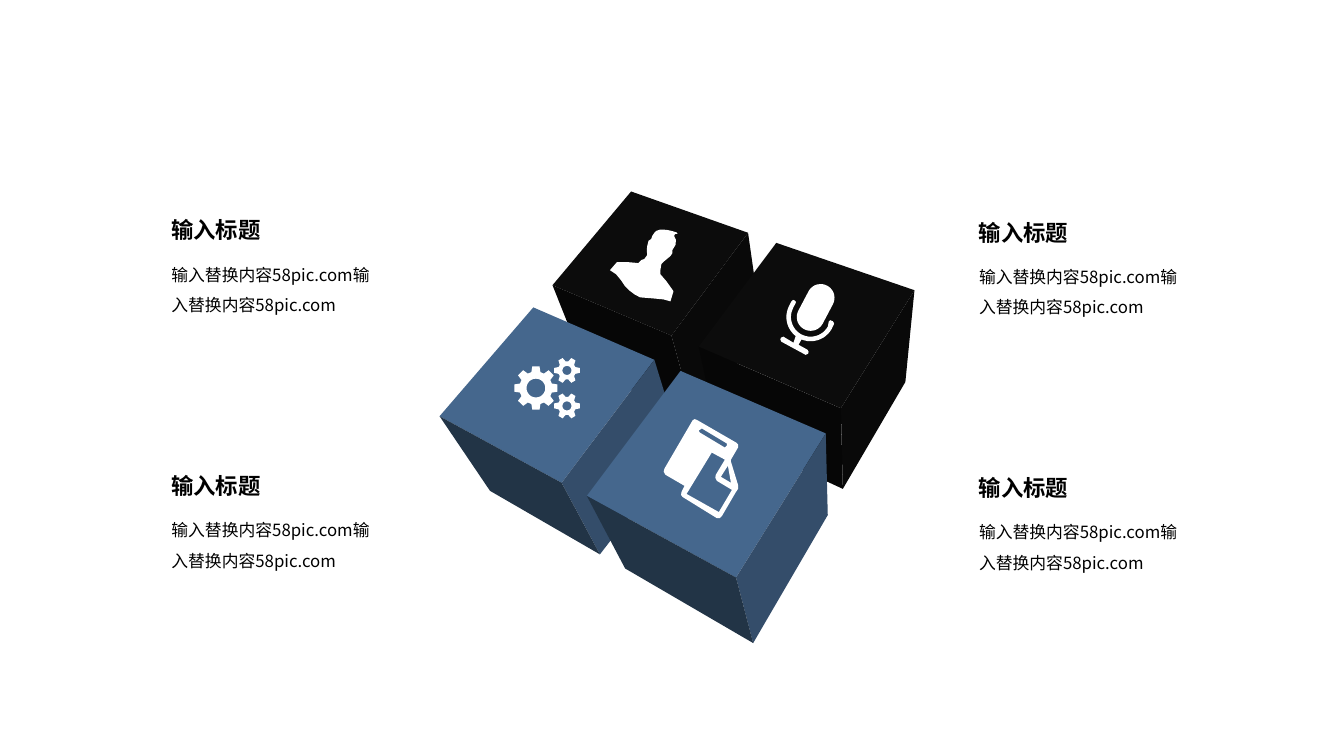
from dataclasses import dataclass
from math import cos, radians, sin

from lxml.etree import SubElement
from pptx import Presentation
from pptx.dml.color import RGBColor
from pptx.enum.text import MSO_ANCHOR as Anchor, MSO_AUTO_SIZE as AutoSize, PP_ALIGN as Align
from pptx.oxml.ns import qn
from pptx.util import Inches, Pt

COLUMNS, ROWS = 1333, 750
FINENESS = 10


@dataclass(frozen=True)
class Theme:
    font: str = "Noto Sans CJK SC"
    ink: str = "000000"
    icon: str = "FFFFFF"
    black: tuple = ("0C0C0C", "090909", "060606")
    blue: tuple = ("45678D", "344D6A", "223446")
    heading_size: int = 16
    body_size: int = 12
    body_spacing: float = 1.5


class CubeSlide:
    """Draws cubes, icons and captions on a fine grid over one slide."""

    def __init__(self, deck, theme):
        self.theme = theme
        self.unit = deck.slide_width / COLUMNS
        self.slide = deck.slides.add_slide(deck.slide_layouts[4])
        title = self.slide.shapes.title
        title.element.getparent().remove(title.element)

    def outline(self, shapes, contours, color):
        fine = [[(x * FINENESS, y * FINENESS) for x, y in contour] for contour in contours]
        builder = shapes.build_freeform(*fine[0][0], scale=self.unit / FINENESS)
        for number, (start, *rest) in enumerate(fine):
            if number:
                builder.move_to(*start)
            builder.add_line_segments(rest, close=True)
        face = builder.convert_to_shape()
        face.shadow.inherit = False
        face.fill.solid()
        face.fill.fore_color.rgb = RGBColor.from_string(color)
        face.line.fill.background()

    def cube(self, corners, shades, icon):
        back, right, front, left, right_low, front_low, left_low = corners
        faces = (
            (back, right, front, left),
            (right, right_low, front_low, front),
            (left, front, front_low, left_low),
        )
        shapes = self.slide.shapes.add_group_shape().shapes
        for face, shade in zip(faces, shades):
            self.outline(shapes, [face], shade)
        self.outline(shapes, icon, self.theme.icon)

    def place(self, holder, column, row, width, height):
        holder.left, holder.top, holder.width, holder.height = (
            round(length * self.unit) for length in (column, row, width, height)
        )

    def letter(self, holder, words, size, bold, spacing):
        frame = holder.text_frame
        frame.text = words
        frame.word_wrap = True
        frame.auto_size = AutoSize.SHAPE_TO_FIT_TEXT
        frame.vertical_anchor = Anchor.TOP
        line = frame.paragraphs[0]
        properties = line._p.get_or_add_pPr()
        properties.set("marL", "0")
        properties.set("indent", "0")
        SubElement(properties, qn("a:buNone"))
        line.alignment = Align.LEFT
        line.line_spacing = spacing
        line.space_before = Pt(0)
        font = line.runs[0].font
        font.size, font.bold, font.name = Pt(size), bold, self.theme.font
        font.color.rgb = RGBColor.from_string(self.theme.ink)
        SubElement(font._element, qn("a:ea")).set("typeface", self.theme.font)

    def caption(self, slot, column, row, heading, body):
        detail = self.slide.placeholders[slot]
        self.place(detail, column, row + 37.5, 220, 67)
        self.letter(detail, body, self.theme.body_size, False, self.theme.body_spacing)
        label = self.slide.shapes.add_textbox(0, 0, 0, 0)
        self.place(label, column, row, 119, 37)
        self.letter(label, heading, self.theme.heading_size, True, 1.0)


def arc(center, radius, start, end, steps=24):
    angles = (radians(start + (end - start) * step / steps) for step in range(steps + 1))
    return [(center[0] + radius * cos(a), center[1] + radius * sin(a)) for a in angles]


def gear(center, teeth, tip, root, tip_half, root_half, hole):
    profile = ((-root_half, root), (-tip_half, tip), (tip_half, tip), (root_half, root))
    rim = [
        arc(center, radius, 360 * tooth / teeth + turn, 0, 1)[0]
        for tooth in range(teeth)
        for turn, radius in profile
    ]
    return [rim, arc(center, hole, 0, 360)]


def microphone():
    low, high, tilt = (804, 314.5), (814, 295.5), 29
    capsule = arc(high, 13.7, tilt + 180, tilt + 360) + arc(low, 13.7, tilt, tilt + 180)
    stand = [(792, 342), (801, 347), (802, 349), (801.5, 351), (799, 352),
             (775, 339), (774, 337), (774.5, 335), (777, 334), (787, 340)]
    left_tip = [(785, 299), (786.5, 297.5), (788, 298), (789.5, 299.5), (789, 301)]
    right_tip = [(822, 319), (823.5, 317.7), (826, 318.7), (827.3, 320.5), (827, 322)]
    yoke = (arc(low, 24, tilt, 112) + stand + arc(low, 24, 128, tilt + 180)
            + left_tip + arc(low, 19.5, tilt + 180, tilt) + right_tip)
    return [capsule, yoke]


PERSON = [[
    (668, 289), (666, 286), (661, 279), (655, 272), (655, 268), (656, 262), (659, 259),
    (665, 254), (667, 251), (667, 248), (670, 243), (670.5, 238), (669, 235), (669, 233),
    (670, 232), (672, 232), (671, 230.5), (666, 229), (661, 228), (655, 227.7), (651, 229),
    (649, 231), (647, 234), (646, 237), (643, 239), (643, 240), (642, 244), (641.5, 248),
    (642, 253), (639, 257), (636, 258), (633, 261), (628, 260.5), (622, 260), (612, 260),
    (605, 268), (611, 272), (616, 278), (620, 284), (624, 288), (630, 292.5), (635, 295),
    (647, 296), (658, 297), (665, 299),
]]
GEARS = (
    gear((531.5, 385), 8, 21.7, 16.4, 9.6, 16, 9.3)
    + gear((562.3, 367.5), 6, 13, 9, 10.5, 22, 4.5)
    + gear((562.3, 402.7), 6, 13, 9, 10.5, 22, 4.5)
)
DOCUMENT = [
    [(716, 512), (714, 514), (711, 514), (677, 493), (675.5, 491), (676, 488), (679, 482),
     (660, 471), (658.3, 468), (659, 465), (687, 417), (689, 415.7), (692, 417), (730, 439),
     (732, 441), (732, 444), (725, 456), (725, 458), (732, 481), (732, 485), (730, 488)],
    [(721, 442), (721, 440), (696, 425), (695, 426), (693, 427), (694, 429), (719, 444), (720, 443)],
    [(713, 508), (726, 486), (711, 477), (709.5, 474), (710, 471), (719, 456), (706, 449), (681, 490)],
    [(725, 479), (722, 462), (715, 473)],
]

theme = Theme()
CUBES = (
    (((626, 190), (742, 231), (666, 333), (548, 283), (756, 329), (689, 416), (581, 366)),
     theme.black, PERSON),
    (((770, 241), (907, 288), (834, 405), (693, 344), (898, 379), (836, 485), (711, 427)),
     theme.black, microphone()),
    (((529, 305), (649, 357), (557, 479), (436, 413), (676, 445), (595, 550), (486, 487)),
     theme.blue, GEARS),
    (((675, 368), (819, 430), (730, 573), (582, 492), (821, 511), (747, 638), (620, 564)),
     theme.blue, DOCUMENT),
)
CAPTION_SPOTS = ((160, 210), (961, 212), (160, 463.5), (961, 465.5))


def main():
    deck = Presentation()
    deck.slide_width, deck.slide_height = Inches(COLUMNS / 100), Inches(ROWS / 100)
    page = CubeSlide(deck, theme)
    for corners, shades, icon in CUBES:
        page.cube(corners, shades, icon)
    for slot, (column, row) in enumerate(CAPTION_SPOTS, 1):
        page.caption(slot, column, row, "输入标题", "输入替换内容58pic.com" * 2)
    deck.save("out.pptx")


if __name__ == "__main__":
    main()
